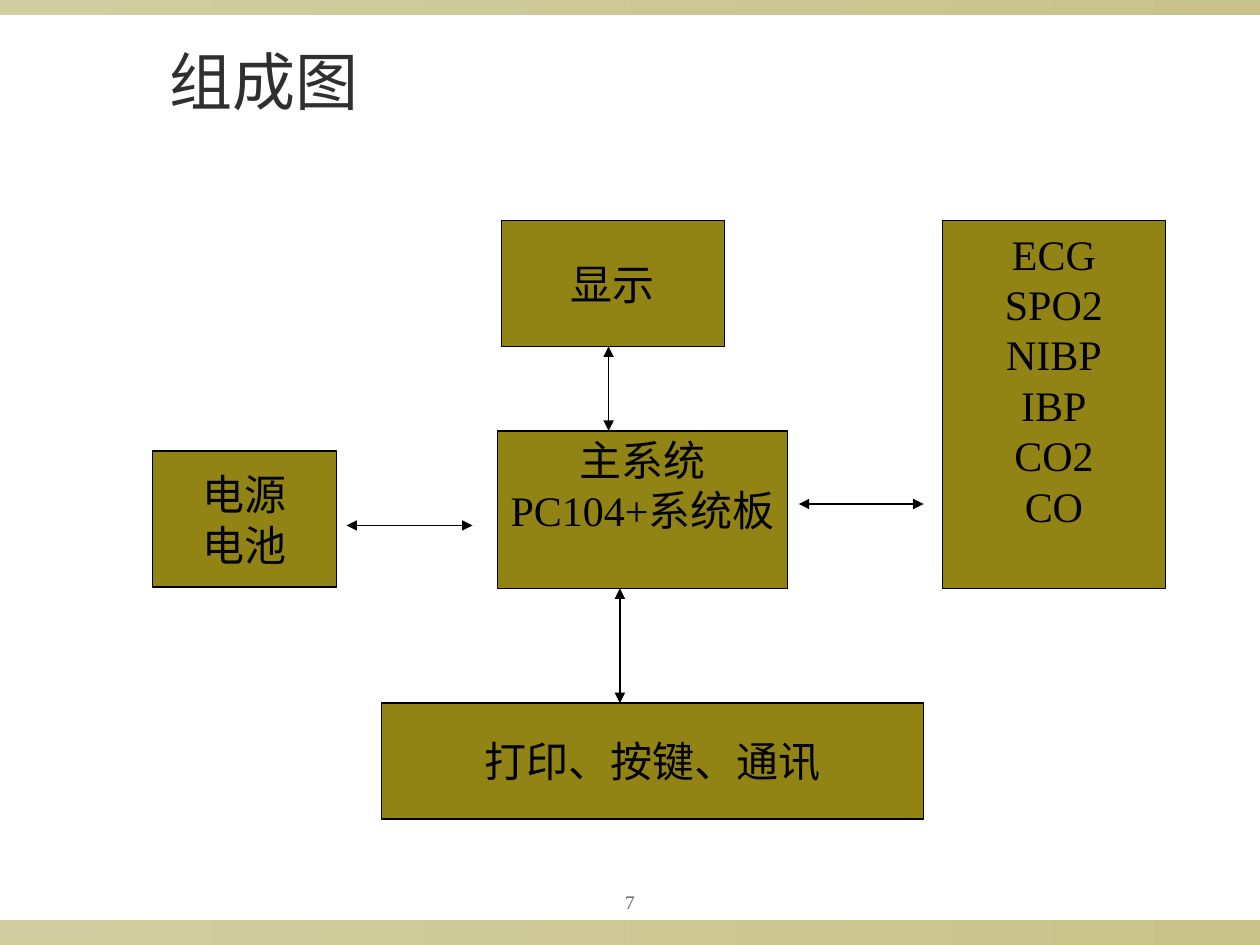
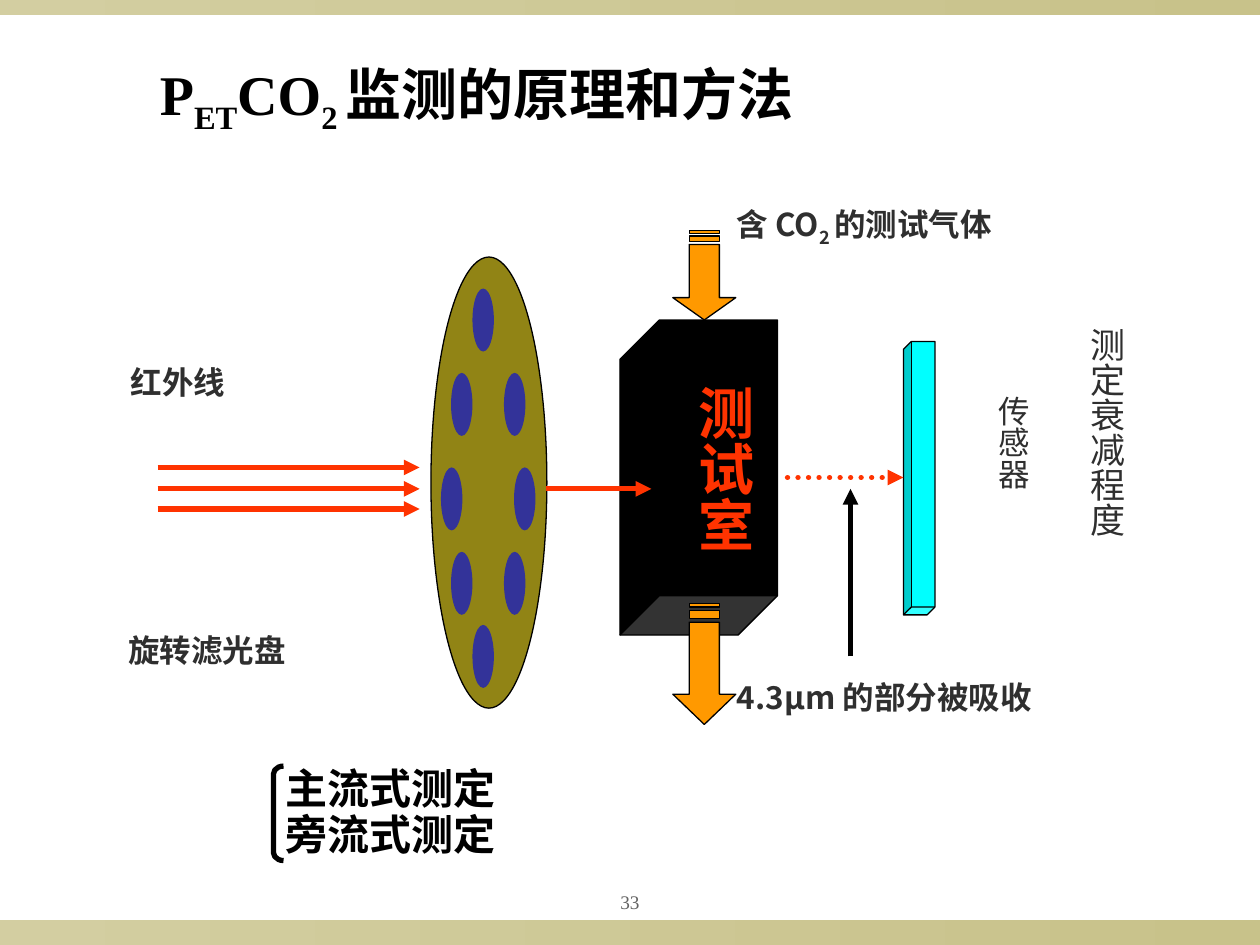
"""Build two slides: a monitor block diagram and the CO2 measuring principle."""
import lxml.etree
import pptx
import pptx.dml.color
import pptx.enum.dml
import pptx.enum.shapes
import pptx.enum.text
import pptx.oxml.ns
import pptx.util

Inches = pptx.util.Inches
Pt = pptx.util.Pt
RGB = pptx.dml.color.RGBColor
SHAPE = pptx.enum.shapes.MSO_SHAPE
ALIGN = pptx.enum.text.PP_ALIGN
ANCHOR = pptx.enum.text.MSO_ANCHOR
qn = pptx.oxml.ns.qn

OLIVE = RGB(0x91, 0x84, 0x15)
BAND_LEFT = RGB(0xD3, 0xCE, 0xA1)
BAND_RIGHT = RGB(0xC8, 0xC2, 0x8A)
BLACK = RGB(0, 0, 0)
INK = RGB(0x2F, 0x2F, 0x2F)
GREY = RGB(0x63, 0x63, 0x63)
RED = RGB(0xFF, 0x33, 0x00)
ORANGE = RGB(0xFF, 0x99, 0x00)
CYAN = RGB(0x00, 0xFF, 0xFF)
BLUE = RGB(0x33, 0x33, 0x99)
SERIF = "Times New Roman"
SANS = "Noto Sans CJK SC"

BANDS = [(0, 7.3, 10, 0.2), (0, 0, 10, 0.12)]
PAGE_NUMBER_AT = (4.5, 7, 1, 0.31)

DIAGRAM_TITLE = "组成图"
NODE_LINE = 0.4
NODES = [
    ((3.95, 3.42, 2.3, 1.25), ["主系统", "PC104+系统板"], NODE_LINE),
    ((3.98, 1.75, 1.77, 1), ["显示"], 0),
    ((1.21, 3.58, 1.46, 1.08), ["电源", "电池"], 0),
    ((7.48, 1.75, 1.77, 2.92), ["ECG", "SPO2", "NIBP", "IBP", "CO2", "CO"], NODE_LINE),
    ((3.03, 5.58, 4.3, 0.92), ["打印、按键、通讯"], 0),
]
NODE_LINKS = [
    (4.83, 2.75, 4.83, 3.42),
    (4.92, 4.67, 4.92, 5.58),
    (6.34, 4, 7.33, 4),
    (2.75, 4.17, 3.75, 4.17),
]

PRINCIPLE_TITLE = [("P", False), ("ET", True), ("CO", False), ("2 ", True),
                   ("监测的原理和方法", False)]
TEST_CHAMBER = (4.92, 2.54, 1.25, 2.5)
SENSOR = (7.17, 2.71, 0.25, 2.17)
FILTER_DISC = (3.42, 2.04, 0.92, 3.58)
HOLE_SIZE = (0.17, 0.5)
HOLE_ROWS = [(2.29, [3.75]), (2.96, [3.58, 4]), (3.71, [3.5, 4.08]),
             (4.38, [3.58, 4]), (4.96, [3.75])]
INFRARED_RAYS = [(1.25, y, 3.33, y) for y in (3.71, 3.88, 4.04)]
FILTERED_RAY = (4.33, 3.88, 5.17, 3.88)
WEAKENED_RAY = (6.25, 3.79, 7.17, 3.79)
ABSORPTION_POINTER = (6.75, 5.21, 6.75, 3.88)
GAS_CENTRE = 5.59
GAS_FLOWS = [(1.83, 0.71), (4.79, 0.96)]
GAS_STRIPES = [(0, 0.03), (0.06, 0.125)]
LABELS = [
    ((5.75, 1.58, 4, 0.44), [("含 CO", False), ("2 ", True), ("的测试气体", False)]),
    ((0.94, 2.83, 2, 0.4), [("红外线", False)]),
    ((0.92, 4.96, 2.5, 0.4), [("旋转滤光盘", False)]),
    ((5.75, 5.33, 4.2, 0.4), [("4.3μm 的部分被吸收", False)]),
]
VERTICAL_LABELS = [
    ((5.34, 2.96, 0.73, 1.58), "测试室", 32, SERIF, RED, True),
    ((7.74, 3.04, 0.5, 1.58), "传感器", 18, SANS, INK, False),
    ((8.47, 2.5, 0.53, 2.5), "测定衰减程度", 20, SANS, INK, False),
]
METHODS = ["主流式测定", "旁流式测定"]
METHODS_AT = (2.17, 6, 3.08, 0.83)
METHODS_BRACKET = (2.17, 6.08, 0.08, 0.75)


def inches(values):
    return [Inches(value) for value in values]


def add_run(paragraph, words, size, face, colour, bold=False, subscript=False):
    run = paragraph.add_run()
    run.text = words
    run.font.size = Pt(size)
    run.font.bold = bold
    run.font.color.rgb = colour
    run.font.name = face
    properties = run._r.get_or_add_rPr()
    lxml.etree.SubElement(properties, qn("a:ea")).set("typeface", SANS)
    if subscript:
        properties.set("baseline", "-25000")


def add_text(slide, at, parts, size, face, colour, bold=False,
             align=ALIGN.LEFT, anchor=ANCHOR.TOP):
    box = slide.shapes.add_textbox(*inches(at))
    frame = box.text_frame
    frame.word_wrap = True
    frame.vertical_anchor = anchor
    paragraph = frame.paragraphs[0]
    paragraph.alignment = align
    for words, subscript in parts:
        add_run(paragraph, words, size, face, colour, bold, subscript)
    return frame


def paint(shape, fill, line=None, width=0.75):
    shape.shadow.inherit = False
    if fill is None:
        shape.fill.background()
    else:
        shape.fill.solid()
        shape.fill.fore_color.rgb = fill
    if line is None:
        shape.line.fill.background()
    else:
        shape.line.color.rgb = line
        shape.line.width = Pt(width)


def add_shape(slide, kind, at, fill, line=None, width=0.75):
    shape = slide.shapes.add_shape(kind, *inches(at))
    paint(shape, fill, line, width)
    return shape


def add_arrow(slide, ends, colour, width, both_ends=False, dotted=False):
    arrow = slide.shapes.add_connector(
        pptx.enum.shapes.MSO_CONNECTOR.STRAIGHT, *inches(ends))
    arrow.line.color.rgb = colour
    arrow.line.width = Pt(width)
    outline = arrow.line._get_or_add_ln()
    if dotted:
        arrow.line.dash_style = pptx.enum.dml.MSO_LINE.ROUND_DOT
        outline.set("cap", "rnd")
    for end in ("a:headEnd", "a:tailEnd") if both_ends else ("a:tailEnd",):
        lxml.etree.SubElement(outline, qn(end)).set("type", "triangle")
    lxml.etree.SubElement(arrow._element.spPr, qn("a:effectLst"))


def add_gas_flow(slide, top, length):
    shaft, head = 0.12, 0.25
    neck, start, tip = (top + length * part for part in (0.75, 0.155, 1))
    outlines = [[(-shaft, start), (shaft, start), (shaft, neck), (head, neck),
                 (0, tip), (-head, neck), (-shaft, neck)]]
    for first, last in GAS_STRIPES:
        upper, lower = top + length * first, top + length * last
        outlines.append([(-shaft, upper), (shaft, upper), (shaft, lower), (-shaft, lower)])
    contours = [[inches((GAS_CENTRE + x, y)) for x, y in outline] for outline in outlines]
    builder = slide.shapes.build_freeform(*contours[0][0])
    builder.add_line_segments(contours[0][1:])
    for contour in contours[1:]:
        builder.move_to(*contour[0])
        builder.add_line_segments(contour[1:])
    paint(builder.convert_to_shape(), ORANGE, BLACK)


def add_base_slide(deck, number):
    slide = deck.slides.add_slide(deck.slide_layouts[6])
    for at in BANDS:
        band = add_shape(slide, SHAPE.RECTANGLE, at, OLIVE)
        band.fill.gradient()
        band.fill.gradient_angle = 0
        for stop, colour in zip(band.fill.gradient_stops, (BAND_LEFT, BAND_RIGHT)):
            stop.color.rgb = colour
    add_text(slide, PAGE_NUMBER_AT, [(number, False)], 11, SERIF, GREY,
             align=ALIGN.CENTER, anchor=ANCHOR.MIDDLE)
    return slide


def build_diagram(deck):
    slide = add_base_slide(deck, "7")
    add_text(slide, (1.25, 0.23, 7.5, 0.82), [(DIAGRAM_TITLE, False)], 36, SANS, INK,
             anchor=ANCHOR.MIDDLE)
    for at, lines, room_below in NODES:
        frame = add_shape(slide, SHAPE.RECTANGLE, at, OLIVE, BLACK).text_frame
        frame.word_wrap = False
        frame.vertical_anchor = ANCHOR.MIDDLE
        frame.margin_bottom = Inches(0.05 + room_below)
        for index, words in enumerate(lines):
            paragraph = frame.add_paragraph() if index else frame.paragraphs[0]
            paragraph.alignment = ALIGN.CENTER
            paragraph.line_spacing = Pt(NODE_LINE * 72)
            add_run(paragraph, words, 24, SERIF, BLACK)
    for ends in NODE_LINKS:
        add_arrow(slide, ends, BLACK, 0.75, both_ends=True)


def build_principle(deck):
    slide = add_base_slide(deck, "33")
    add_text(slide, (1.17, 0.42, 6, 0.71), PRINCIPLE_TITLE, 32, SERIF, BLACK, True)
    for at, fill in ((TEST_CHAMBER, BLACK), (SENSOR, CYAN)):
        add_shape(slide, SHAPE.CUBE, at, fill, BLACK).rotation = 180
    add_shape(slide, SHAPE.OVAL, FILTER_DISC, OLIVE, BLACK)
    for top, lefts in HOLE_ROWS:
        for left in lefts:
            add_shape(slide, SHAPE.OVAL, (left, top, *HOLE_SIZE), BLUE)
    for ends in INFRARED_RAYS + [FILTERED_RAY]:
        add_arrow(slide, ends, RED, 3)
    add_arrow(slide, WEAKENED_RAY, RED, 3, dotted=True)
    add_arrow(slide, ABSORPTION_POINTER, BLACK, 3)
    for top, length in GAS_FLOWS:
        add_gas_flow(slide, top, length)
    for at, parts in LABELS:
        add_text(slide, at, parts, 18, SANS, INK, True)
    for at, words, size, face, colour, bold in VERTICAL_LABELS:
        frame = add_text(slide, at, [(words, False)], size, face, colour, bold, ALIGN.CENTER)
        frame.margin_left = frame.margin_right = Inches(0.05)
        frame.margin_top = frame.margin_bottom = Inches(0.1)
        frame._txBody.bodyPr.set("vert", "eaVert")
    frame = add_text(slide, METHODS_AT, [(METHODS[0], False)], 24, SANS, BLACK, True)
    sidestream = frame.add_paragraph()
    sidestream.line_spacing = 0.3
    sidestream.space_before = Pt(15)
    add_run(sidestream, METHODS[1], 24, SANS, BLACK, True)
    bracket = add_shape(slide, SHAPE.LEFT_BRACKET, METHODS_BRACKET, None, BLACK, 3)
    bracket.adjustments[0] = 0.8


def main():
    deck = pptx.Presentation()
    deck.slide_width, deck.slide_height = Inches(10), Inches(7.5)
    build_diagram(deck)
    build_principle(deck)
    deck.save("out.pptx")


if __name__ == "__main__":
    main()
